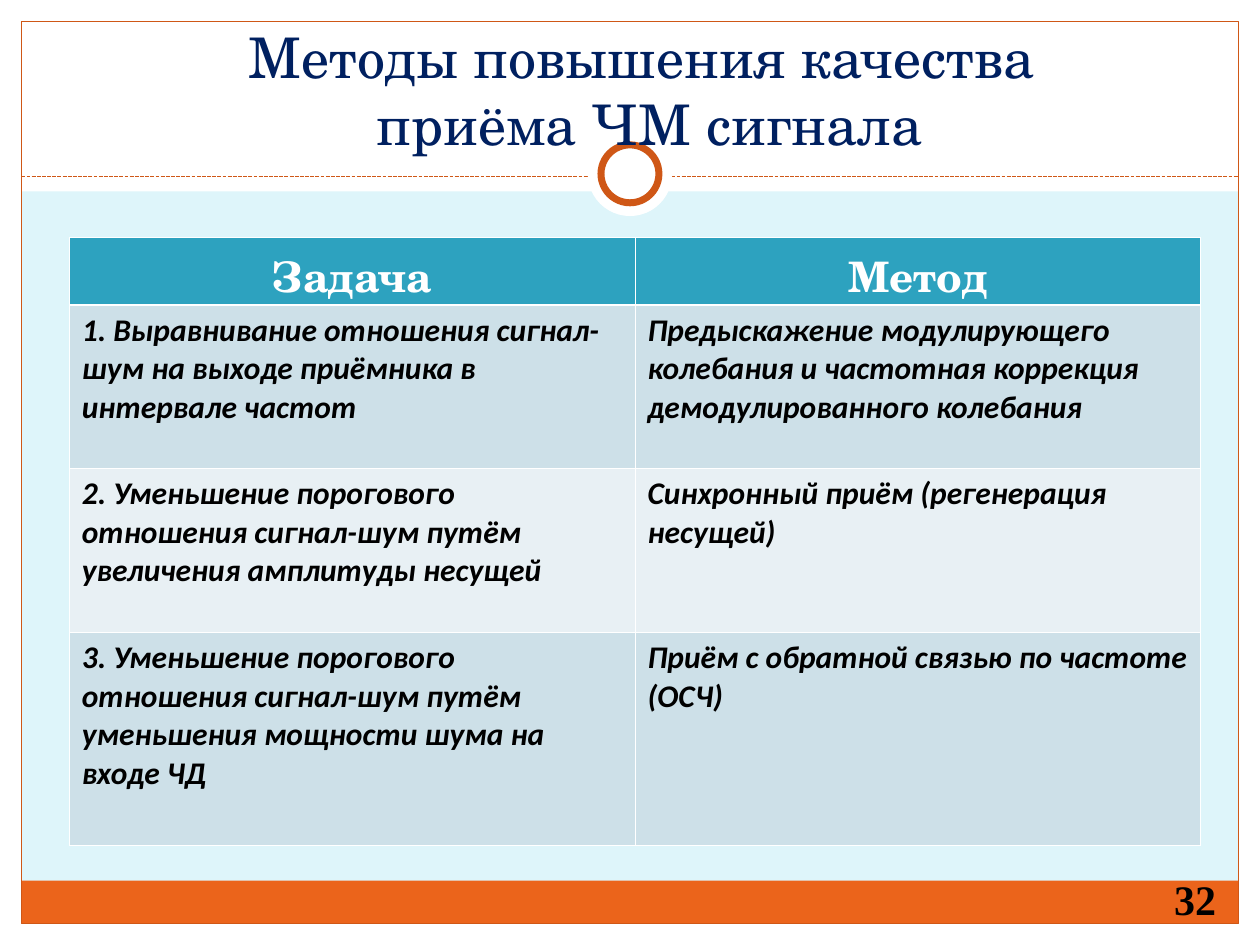
from pptx import Presentation
from pptx.dml.color import RGBColor
from pptx.enum.dml import MSO_LINE
from pptx.enum.shapes import MSO_CONNECTOR, MSO_SHAPE
from pptx.enum.text import PP_ALIGN
from pptx.oxml.ns import qn
from pptx.util import Inches, Pt
from lxml.etree import SubElement

COLORS = {
    "background": "DEF5FA", "white": "FFFFFF", "orange": "EB641B", "rust": "CF5716",
    "navy": "002060", "black": "000000", "header": "2DA2BF",
    "odd row": "CDE0E8", "even row": "E8F0F4",
}
TITLE_LINES = ["Методы повышения качества ", "приёма ЧМ сигнала"]
PAGE_NUMBER = "32"
TABLE_ROWS = [
    ("Задача", "Метод"),
    ("1. Выравнивание отношения сигнал-шум на выходе приёмника в интервале частот",
     "Предыскажение модулирующего колебания и частотная коррекция демодулированного колебания"),
    ("2. Уменьшение порогового отношения сигнал-шум путём увеличения амплитуды несущей",
     "Синхронный приём (регенерация несущей)"),
    ("3. Уменьшение порогового отношения сигнал-шум путём уменьшения мощности шума на входе ЧД",
     "Приём с обратной связью по частоте (ОСЧ)"),
]
ROW_HEIGHTS = [0.54, 1.3, 1.3, 1.69]
COLUMN_WIDTH = 4.49
WIDTH, HEIGHT, MARGIN = 10, 7.5, 0.17
RULE_Y = 1.4
BANDS = [
    (0, HEIGHT - MARGIN, WIDTH, MARGIN, "white"),
    (0, 0, WIDTH, 1.52, "white"),
    (0, 0, MARGIN, HEIGHT, "white"),
    (WIDTH - MARGIN, 0, MARGIN, HEIGHT, "white"),
    (MARGIN, 6.99, WIDTH - 2 * MARGIN, 0.34, "orange"),
]


def color(name):
    return RGBColor.from_string(COLORS[name])


def add_shape(page, kind, left, top, width, height, fill=None, line=None, weight=0.75):
    shape = page.shapes.add_shape(kind, *map(Inches, (left, top, width, height)))
    shape.shadow.inherit = False
    if fill:
        shape.fill.solid()
        shape.fill.fore_color.rgb = color(fill)
    else:
        shape.fill.background()
    if line:
        shape.line.color.rgb = color(line)
        shape.line.width = Pt(weight)
    else:
        shape.line.fill.background()


def add_circle(page, diameter, **style):
    add_shape(page, MSO_SHAPE.OVAL, (WIDTH - diameter) / 2, 1.38 - diameter / 2,
              diameter, diameter, fill="white", **style)


def write(frame, lines, size, font, ink, bold=False, italic=False, align=PP_ALIGN.LEFT):
    frame.word_wrap = True
    paragraph = frame.paragraphs[0]
    paragraph.alignment = align
    for index, line in enumerate(lines):
        if index:
            paragraph.add_line_break()
        span = paragraph.add_run()
        span.text = line
        span.font.size = Pt(size)
        span.font.name = font
        span.font.bold = bold
        span.font.italic = italic
        span.font.color.rgb = color(ink)


def add_text(page, left, top, width, height, lines, **style):
    box = page.shapes.add_textbox(*map(Inches, (left, top, width, height)))
    write(box.text_frame, lines, **style)


def set_borders(cell, top, bottom):
    properties = cell._tc.get_or_add_tcPr()
    for side, weight in (("L", 0.45), ("R", 0.45), ("T", top), ("B", bottom)):
        border = SubElement(properties, qn(f"a:ln{side}"), w=str(Pt(weight)))
        fill = SubElement(border, qn("a:solidFill"))
        SubElement(fill, qn("a:srgbClr"), val=COLORS["white"])


def add_methods_table(page):
    table = page.shapes.add_table(
        len(TABLE_ROWS), 2, Inches(0.55), Inches(1.88),
        Inches(2 * COLUMN_WIDTH), Inches(sum(ROW_HEIGHTS))).table
    for column in table.columns:
        column.width = Inches(COLUMN_WIDTH)
    for index, (texts, height) in enumerate(zip(TABLE_ROWS, ROW_HEIGHTS)):
        table.rows[index].height = Inches(height)
        if index == 0:
            fill = "header"
            style = dict(size=24, font="TeX Gyre Schola", ink="white", align=PP_ALIGN.CENTER)
        else:
            fill = "odd row" if index % 2 else "even row"
            style = dict(size=18, font="Calibri", ink="black", italic=True)
        for cell, text in zip(table.rows[index].cells, texts):
            set_borders(cell, top=1.47 if index == 1 else 0.45,
                        bottom=1.47 if index == 0 else 0.45)
            cell.fill.solid()
            cell.fill.fore_color.rgb = color(fill)
            write(cell.text_frame, [text], bold=True, **style)


def main():
    deck = Presentation()
    deck.slide_width, deck.slide_height = Inches(WIDTH), Inches(HEIGHT)
    page = deck.slides.add_slide(deck.slide_layouts[6])
    page.background.fill.solid()
    page.background.fill.fore_color.rgb = color("background")

    for left, top, width, height, fill in BANDS:
        add_shape(page, MSO_SHAPE.RECTANGLE, left, top, width, height, fill=fill)
    add_shape(page, MSO_SHAPE.RECTANGLE, MARGIN, MARGIN,
              WIDTH - 2 * MARGIN, HEIGHT - 2 * MARGIN, line="rust")

    rule = page.shapes.add_connector(
        MSO_CONNECTOR.STRAIGHT, Inches(MARGIN), Inches(RULE_Y),
        Inches(WIDTH - MARGIN), Inches(RULE_Y))
    rule.line.color.rgb = color("rust")
    rule.line.width = Pt(0.75)
    rule.line.dash_style = MSO_LINE.SQUARE_DOT
    SubElement(rule._element.spPr, qn("a:effectLst"))

    add_circle(page, 0.67)
    add_circle(page, 0.46, line="rust", weight=4)

    add_text(page, 9.22, 6.88, 0.62, 0.5, [PAGE_NUMBER],
             size=24, font="Times New Roman", ink="black", bold=True)
    add_text(page, 1.25, 0.13, 7.81, 1.17, TITLE_LINES,
             size=32, font="TeX Gyre Schola", ink="navy", align=PP_ALIGN.CENTER)
    add_methods_table(page)
    deck.save("out.pptx")


if __name__ == "__main__":
    main()
